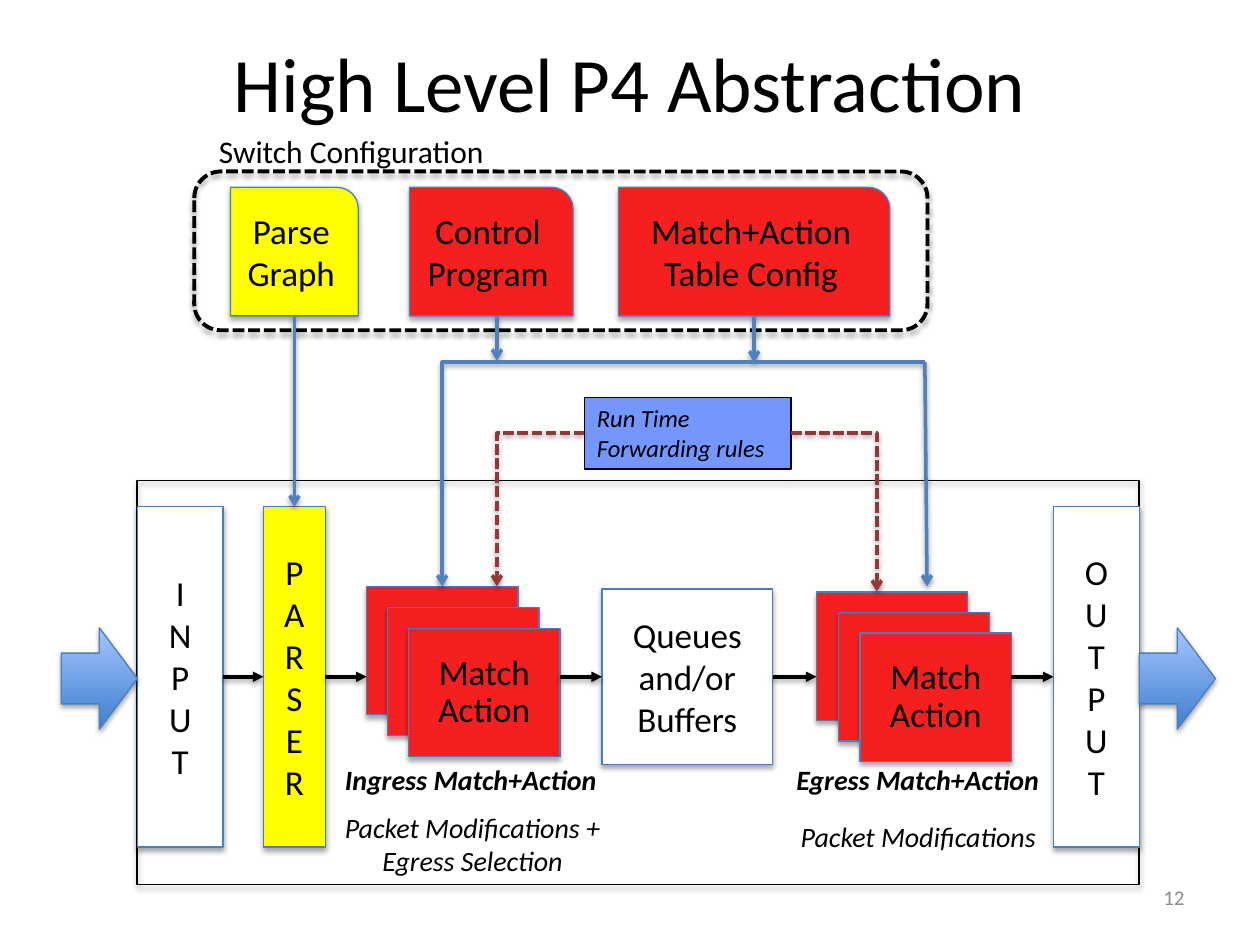
from lxml.etree import SubElement
from pptx import Presentation
from pptx.dml.color import RGBColor
from pptx.enum.dml import MSO_LINE
from pptx.enum.shapes import MSO_CONNECTOR, MSO_SHAPE
from pptx.enum.text import MSO_ANCHOR, MSO_AUTO_SIZE, PP_ALIGN
from pptx.oxml.ns import qn
from pptx.util import Pt

FONT = "Calibri"
BLACK, WHITE, YELLOW, RED = "000000", "FFFFFF", "FFFF00", "F51F1F"
EDGE, CONFIG_BLUE, RULE_RED = "4B7EBC", "4F81BD", "953735"
AXIS = 386.75  # height at which packets flow through the pipeline
BUS = 207  # height of the line that hands out the configuration


def rgb(color):
    return RGBColor.from_string(color)


def cast_shadow(shape, distance=1.8, opacity=35):
    effects = SubElement(shape._element.spPr, qn("a:effectLst"))
    outer = SubElement(effects, qn("a:outerShdw"), blurRad=str(Pt(3.1)),
                       dist=str(Pt(distance)), dir="5400000", rotWithShape="0")
    black = SubElement(outer, qn("a:srgbClr"), val=BLACK)
    SubElement(black, qn("a:alpha"), val=str(opacity * 1000))


def write(shape, lines, size, color=BLACK, align=PP_ALIGN.CENTER,
          anchor=MSO_ANCHOR.MIDDLE, wrap=True, bold=None, italic=None, spacing=None):
    frame = shape.text_frame
    frame.word_wrap = wrap
    frame.vertical_anchor = anchor
    for i, line in enumerate(lines):
        paragraph = frame.add_paragraph() if i else frame.paragraphs[0]
        paragraph.alignment = align
        paragraph.line_spacing = spacing
        run = paragraph.add_run()
        run.text = line
        run.font.name, run.font.size = FONT, Pt(size)
        run.font.bold, run.font.italic = bold, italic
        run.font.color.rgb = rgb(color)


def add_text(slide, box, lines, size, **style):
    write(slide.shapes.add_textbox(*map(Pt, box)), lines, size, **style)


def add_label(slide, box, lines, size, **style):
    """Text on one line per paragraph, in a box that grows with it."""
    label = slide.shapes.add_textbox(*map(Pt, box))
    write(label, lines, size, anchor=MSO_ANCHOR.TOP, wrap=False, **style)
    label.text_frame.auto_size = MSO_AUTO_SIZE.SHAPE_TO_FIT_TEXT


def add_block(slide, box, fill=None, lines=(), kind=MSO_SHAPE.RECTANGLE,
              edge=EDGE, weight=0.75, dash=None, shadow=True, **style):
    block = slide.shapes.add_shape(kind, *map(Pt, box))
    if fill:
        block.fill.solid()
        block.fill.fore_color.rgb = rgb(fill)
    else:
        block.fill.background()
    block.line.color.rgb = rgb(edge)
    block.line.width = Pt(weight)
    if dash:
        block.line.dash_style = dash
    if shadow:
        cast_shadow(block)
    else:
        block.shadow.inherit = False
    write(block, lines, **{"size": 20, **style})
    return block


def add_arrow(slide, start, end, color=BLACK, head="triangle", bent=False,
              dash=None, source=None, target=None):
    """Arrow from start to end; source and target are (shape, side) joints.

    A bent arrow runs sideways first, then down.
    """
    kind = MSO_CONNECTOR.ELBOW if bent else MSO_CONNECTOR.STRAIGHT
    arrow = slide.shapes.add_connector(kind, *map(Pt, (*start, *end)))
    if source:
        arrow.begin_connect(*source)
    if target:
        arrow.end_connect(*target)
    if bent:
        arrow._element.spPr.find(qn("a:prstGeom")).set("prst", "bentConnector2")
    arrow.line.color.rgb = rgb(color)
    arrow.line.width = Pt(2)
    if dash:
        arrow.line.dash_style = dash
    SubElement(arrow.line._get_or_add_ln(), qn("a:tailEnd"), type=head)
    cast_shadow(arrow, 1.6, 38)


def add_packet_arrow(slide, box):
    arrow = add_block(slide, box, WHITE, kind=MSO_SHAPE.RIGHT_ARROW)
    arrow.fill.gradient()
    arrow.fill.gradient_angle = 90
    for stop, color in zip(arrow.fill.gradient_stops, ("3F80CE", "A4C4FF")):
        stop.color.rgb = rgb(color)


def add_match_stack(slide, box, depth=3):
    """Overlapping cards that step down to the right, the front one labelled."""
    left, top, width, height = box
    card_width, card_height = 86.5, 73.5
    step_x = (width - card_width) / (depth - 1)
    step_y = (height - card_height) / (depth - 1)
    for i in range(depth):
        lines = ["Match", "Action"] if i == depth - 1 else ()
        add_block(slide, (left + i * step_x, top + i * step_y, card_width, card_height),
                  RED, lines, spacing=0.9)


def add_pipeline(slide, box):
    left, top, width, height = box
    right = left + width
    add_block(slide, box, edge=BLACK, weight=1)

    def stage(x, stage_width, stage_height, fill, lines):
        return add_block(slide, (x, AXIS - stage_height / 2, stage_width, stage_height),
                         fill, lines)

    port = 49
    entry = stage(left, port, 194.5, WHITE, list("INPUT"))
    leave = stage(right - port, port, 194.5, WHITE, list("OUTPUT"))
    parser = stage(left + 72, 35.5, 194.5, YELLOW, list("PARSER"))
    queues = stage(left + 265.5, 97.5, 100.5, WHITE, ["Queues", "and/or", "Buffers"])
    ingress, egress = left + 131, left + 388
    add_match_stack(slide, (ingress, top + 60.5, 110.5, 97.5))
    add_match_stack(slide, (egress, top + 63.75, 111.5, 97))

    hops = [
        (left + port, left + 72, (entry, 3), (parser, 1)),
        (left + 107.5, ingress, (parser, 3), None),
        (ingress + 110.5, left + 265.5, None, (queues, 1)),
        (left + 363, egress, (queues, 3), None),
        (egress + 111.5, right - port, None, (leave, 1)),
    ]
    for x1, x2, source, target in hops:
        add_arrow(slide, (x1, AXIS), (x2, AXIS), source=source, target=target)
    for x in (left - 43.5, right):
        add_packet_arrow(slide, (x, AXIS + 1 - 29, 43.5, 58))

    name = {"bold": True, "italic": True, "align": PP_ALIGN.LEFT}
    add_label(slide, (left + 111.5, top + 157.5, 164, 26.5), ["Ingress Match+Action"], 16, **name)
    add_label(slide, (left + 369.5, top + 157.5, 159, 26.5), ["Egress Match+Action"], 16, **name)
    add_label(slide, (left + 108, top + 185, 167, 46),
              ["Packet Modifications +", "Egress Selection"], 16, italic=True)
    add_label(slide, (left + 368.5, top + 190, 155.5, 26.5),
              ["Packet Modifications"], 16, italic=True)
    return parser


def add_switch_configuration(slide, box, parser):
    left, top, width, height = box
    add_block(slide, box, edge=BLACK, weight=2.25, dash=MSO_LINE.SQUARE_DOT,
              kind=MSO_SHAPE.ROUNDED_RECTANGLE)
    add_label(slide, (left + 7, top - 26, 168.5, 29), ["Switch Configuration"], 18,
              align=PP_ALIGN.LEFT)
    cards = [
        (20.75, 73, YELLOW, ["Parse", "Graph"]),
        (123, 93.5, RED, ["Control", "Program"]),
        (242.5, 155, RED, ["Match+Action Table Config"]),
    ]
    graph, _, table = [
        add_block(slide, (left + x, top + 9, card_width, 73.5), fill, lines,
                  kind=MSO_SHAPE.ROUND_1_RECTANGLE)
        for x, card_width, fill, lines in cards]

    bottom = top + 82.5
    style = {"color": CONFIG_BLUE, "head": "arrow"}
    add_arrow(slide, (left + 57.25, bottom), (left + 57.25, 289.5),
              source=(graph, 2), target=(parser, 0), **style)
    add_arrow(slide, (left + 173, bottom), (left + 173, BUS - 1), **style)
    add_arrow(slide, (left + 320, bottom), (left + 320, BUS), source=(table, 2), **style)
    add_arrow(slide, (528.5, BUS), (252.75, 335), bent=True, **style)
    add_arrow(slide, (528.5, BUS), (529.75, 335), **style)


def add_runtime_rules(slide, box):
    left, top, width, height = box
    rules = add_block(slide, box, "3366FF", ["Run Time Forwarding rules"], edge=BLACK,
                      shadow=False, size=14, italic=True, align=PP_ALIGN.LEFT,
                      anchor=MSO_ANCHOR.TOP)
    tint = rules._element.spPr.find(qn("a:solidFill")).find(qn("a:srgbClr"))
    SubElement(tint, qn("a:alpha"), val="68000")
    middle = top + height / 2
    for x, side, end in ((left, 1, (284, 335)), (left + width, 3, (501, 338))):
        add_arrow(slide, (x, middle), end, RULE_RED, "arrow", bent=True,
                  dash=MSO_LINE.SQUARE_DOT, source=(rules, side))


def main():
    deck = Presentation()
    deck.slide_width, deck.slide_height = Pt(720), Pt(540)
    slide = deck.slides.add_slide(deck.slide_layouts[6])
    parser = add_pipeline(slide, (78.5, 274.5, 572.5, 231))
    add_switch_configuration(slide, (111, 98, 419, 90.75), parser)
    add_runtime_rules(slide, (334, 227, 118, 41))
    add_text(slide, (36, 1.5, 648, 90), ["High Level P4 Abstraction"], 44)
    add_text(slide, (516, 498.5, 168, 28.75), ["12"], 12, color="8C8C8C",
             align=PP_ALIGN.RIGHT)
    deck.save("out.pptx")


if __name__ == "__main__":
    main()
